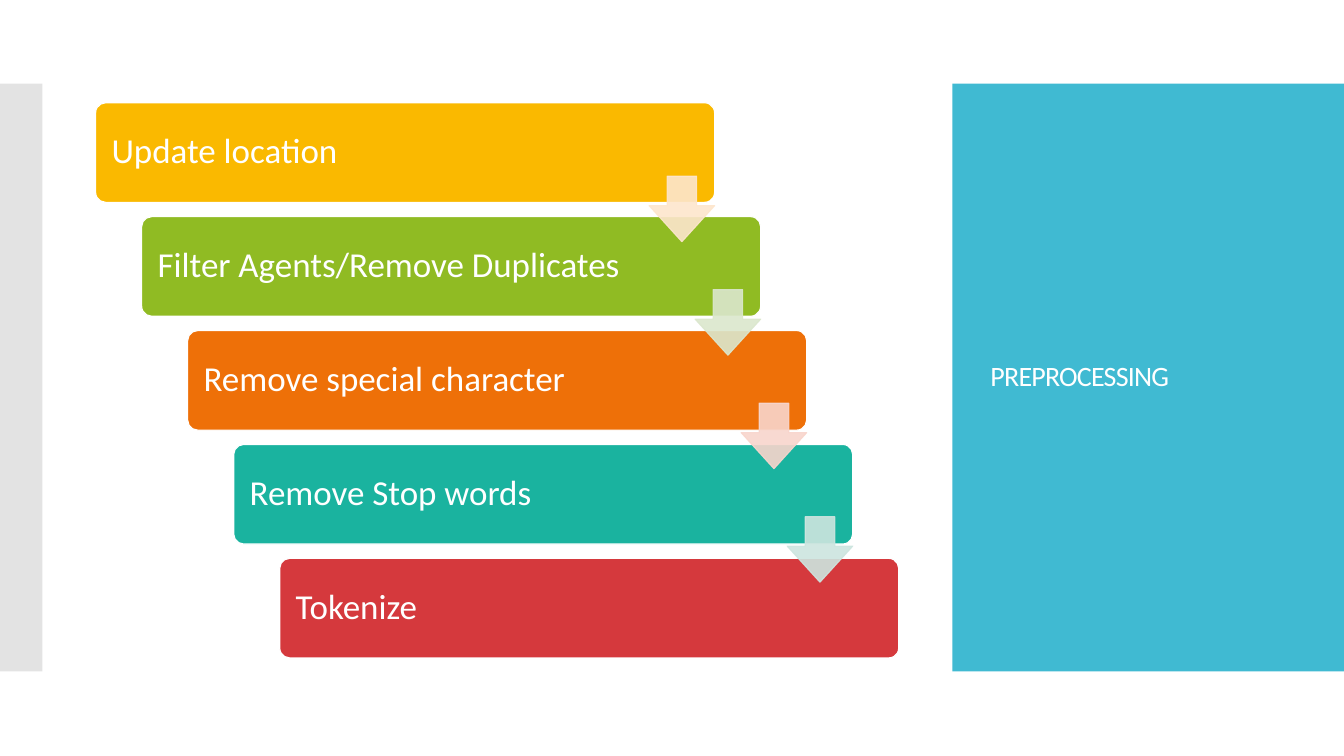
import pptx
import pptx.util
import pptx.dml.color
import pptx.enum.shapes
import pptx.enum.text
import pptx.oxml.ns
import lxml.etree

Cm, Pt = pptx.util.Cm, pptx.util.Pt
SHAPE = pptx.enum.shapes.MSO_SHAPE
WHITE = "FFFFFF"
FRAME = {
    "word_wrap": True,
    "auto_size": pptx.enum.text.MSO_AUTO_SIZE.NONE,
    "vertical_anchor": pptx.enum.text.MSO_ANCHOR.MIDDLE,
}
PARAGRAPH = {"alignment": pptx.enum.text.PP_ALIGN.LEFT, "line_spacing": 0.9}

STEPS = [
    ("Update location", "FAB900"),
    ("Filter Agents/Remove Duplicates", "90BB23"),
    ("Remove special character", "EE7008"),
    ("Remove Stop words", "1AB39F"),
    ("Tokenize", "D5393D"),
]
ARROWS = ["FDE6CC", "DBE7CD", "F8D5CC", "CDE5DF"]


def rgb(value):
    return pptx.dml.color.RGBColor.from_string(value)


def apply(target, values):
    for name, value in values.items():
        setattr(target, name, value)


def set_opacity(sp, percent):
    for clr in sp._element.spPr.iter(pptx.oxml.ns.qn("a:srgbClr")):
        alpha = lxml.etree.SubElement(clr, pptx.oxml.ns.qn("a:alpha"))
        alpha.set("val", str(percent * 1000))


def add_block(slide, kind, box, fill, line=None, adjustments=(), opacity=100):
    sp = slide.shapes.add_shape(kind, *[Cm(v) for v in box])
    sp.shadow.inherit = False
    sp.fill.solid()
    sp.fill.fore_color.rgb = rgb(fill)
    if line:
        sp.line.color.rgb = rgb(line)
        sp.line.width = Pt(0.85)
    else:
        sp.line.fill.background()
    for i, value in enumerate(adjustments):
        sp.adjustments[i] = value
    if opacity < 100:
        set_opacity(sp, opacity)
    return sp


def write_text(sp, text, size, inset):
    tf = sp.text_frame
    apply(tf, FRAME)
    apply(tf, {"margin_left": Cm(inset), "margin_right": Cm(inset)})
    p = tf.paragraphs[0]
    apply(p, PARAGRAPH)
    r = p.add_run()
    r.text = text
    apply(r.font, {"name": "Calibri", "size": Pt(size), "bold": False})
    r.font.color.rgb = rgb(WHITE)
    return r


def add_title(slide, text):
    title = slide.shapes.title
    apply(title, {"left": Cm(24.71), "top": Cm(3.12),
                  "width": Cm(8.18), "height": Cm(12.78)})
    r = write_text(title, text, 20, 0.25)
    r.font._element.set("spc", "-60")
    slide.shapes._spTree.append(title._element)


def add_step(slide, i, text, color):
    box = (2.41 + 1.16 * i, 2.59 + 2.87 * i, 15.6, 2.51)
    sp = add_block(slide, SHAPE.ROUNDED_RECTANGLE, box, color, WHITE, [0.1])
    write_text(sp, text, 25, 0.33)


def add_arrow(slide, i, color):
    box = (16.36 + 1.16 * i, 4.44 + 2.86 * i, 1.65, 1.65)
    add_block(slide, SHAPE.DOWN_ARROW, box, color, color, [0.45, 0.55], 90)


def main():
    prs = pptx.Presentation()
    apply(prs, {"slide_width": Cm(33.87), "slide_height": Cm(19.05)})
    slide = prs.slides.add_slide(prs.slide_layouts[5])

    add_block(slide, SHAPE.RECTANGLE, (24, 2.11, 9.87, 14.81), "40BAD2")
    add_title(slide, "PREPROCESSING")
    add_block(slide, SHAPE.RECTANGLE, (0, 2.11, 1.07, 14.81), "C8C8C8", opacity=50)

    for i, (text, color) in enumerate(STEPS):
        add_step(slide, i, text, color)
    for i, color in enumerate(ARROWS):
        add_arrow(slide, i, color)

    prs.save("out.pptx")


if __name__ == "__main__":
    main()
